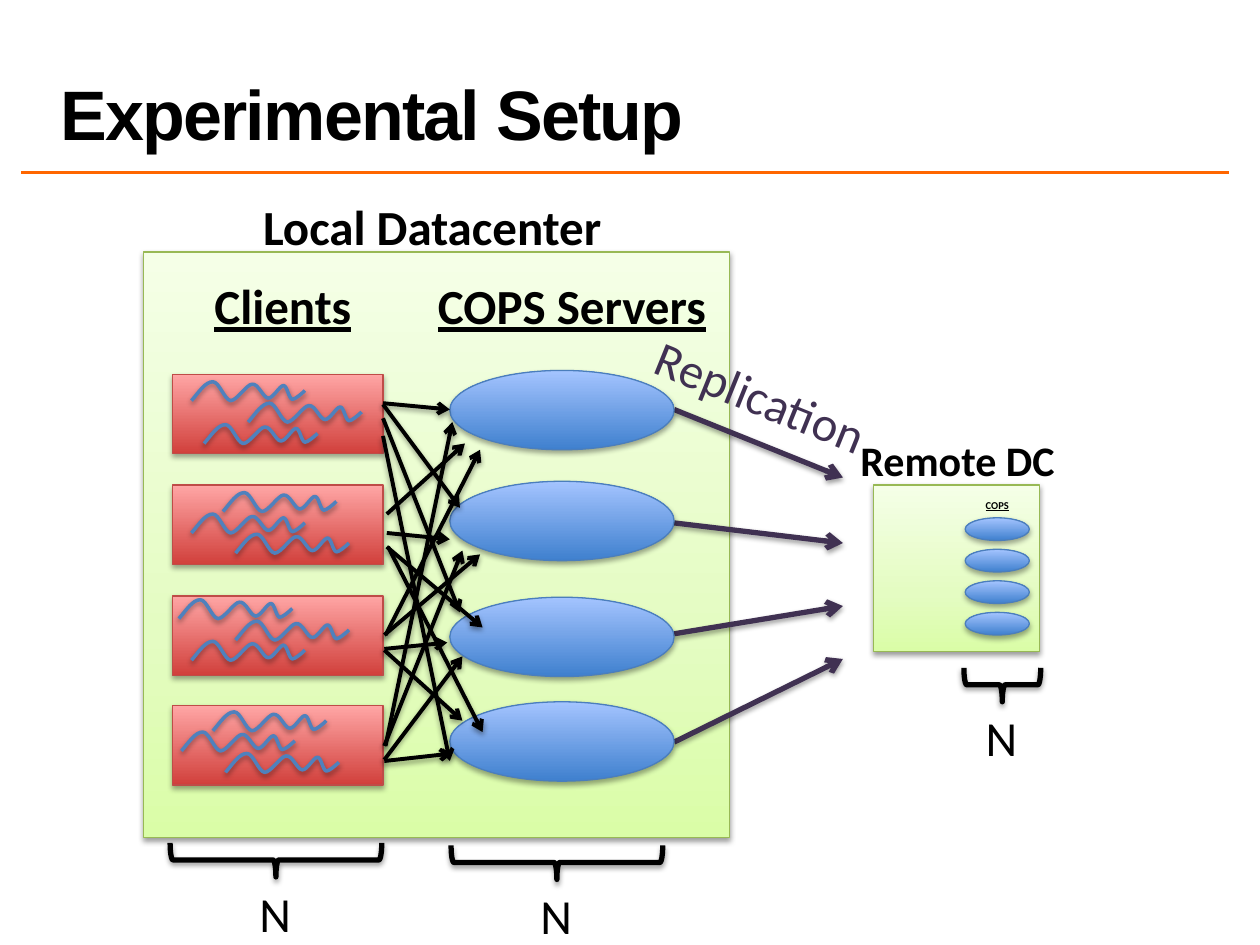
from copy import deepcopy

from lxml import etree
from pptx import Presentation
from pptx.dml.color import RGBColor
from pptx.enum.shapes import MSO_CONNECTOR, MSO_SHAPE
from pptx.enum.text import MSO_ANCHOR, PP_ALIGN
from pptx.oxml.ns import qn
from pptx.util import Inches, Pt

RECT, OVAL, BRACE = MSO_SHAPE.RECTANGLE, MSO_SHAPE.OVAL, MSO_SHAPE.LEFT_BRACE
STRAIGHT = MSO_CONNECTOR.STRAIGHT
LEFT, CENTER = PP_ALIGN.LEFT, PP_ALIGN.CENTER
TOP, BOTTOM = MSO_ANCHOR.TOP, MSO_ANCHOR.BOTTOM

THEME = {
    "ink": "000000", "rule": "FF6600", "replication": "403152", "thread": "4F81BD",
    "site": {"stops": [(0, "DAFDA7"), (0.35, "E4FCC2"), (1, "F5FFE7")],
             "edge": "98B955", "shadow": (38, 1.6)},
    "server": {"stops": [(0, "3F80CE"), (1, "A4C4FF")], "edge": "4B7EBC", "shadow": (35, 1.8)},
    "client": {"stops": [(0, "D1403C"), (1, "FFA6A5")], "edge": "BF4C48", "shadow": (35, 1.8)},
    "line_shadow": (38, 1.6),
    "title_font": "Arial", "body_font": "Calibri",
    "title": 40, "label": 28, "remote": 24, "tiny": 6,
}

# Content: text, box, format
TITLE = ("Experimental Setup", (0.38, 0.02, 9, 1.25))
LABELS = [
    ("COPS", (7.56, 3.91, 0.71, 0.16), {"size": THEME["tiny"], "bold": True, "underline": True}),
    ("Remote DC", (6.35, 3.4, 2.5, 0.57), {"size": THEME["remote"], "bold": True}),
    ("COPS Servers", (3.29, 2.14, 2.5, 0.57), {"bold": True, "underline": True}),
    ("Clients", (1.3, 2.14, 1.89, 0.57), {"bold": True, "underline": True}),
    ("Local Datacenter", (1.96, 1.51, 2.94, 0.57), {"bold": True, "wrap": False}),
]
REPLICATION = ("Replication", (4.79, 2.86, 2.5, 0.57), 22.1)
SITES = [(1.14, 2, 4.65), (6.93, 3.85, 1.32)]                # left, top, side
CLIENT_TOPS, CLIENT_SIZE = [2.97, 3.85, 4.73, 5.6], (1.67, 0.63)
SERVER_TOPS, SERVER_SIZE = [2.94, 3.82, 4.74, 5.57], (1.78, 0.63)
REMOTE_TOP, REMOTE_PITCH, REMOTE_SIZE = 4.11, 0.25, (0.51, 0.18)
THREAD_STARTS = [                                           # per client
    [(1.52, 3.18), (1.97, 3.35), (1.62, 3.52)],
    [(1.77, 4.06), (1.52, 4.23), (1.87, 4.39)],
    [(1.42, 4.91), (1.87, 5.08), (1.52, 5.24)],
    [(1.69, 5.80), (1.44, 5.96), (1.79, 6.13)],
]
THREAD_CURVES = [                                           # offsets from the start
    (0.06, -0.07), (0.11, -0.15), (0.17, -0.15),
    (0.22, -0.15), (0.26, -0.01), (0.31, 0),
    (0.36, 0), (0.44, -0.13), (0.48, -0.13),
    (0.53, -0.14), (0.57, -0.02), (0.61, -0.02),
    (0.65, -0.02), (0.70, -0.12), (0.73, -0.12),
    (0.76, -0.12), (0.77, -0.02), (0.80, -0.01),
    (0.82, -0.01), (0.87, -0.05), (0.90, -0.08),
]
REQUESTS = [                                                # per client: from x, y to x, y
    [(3.04, 3.46, 3.57, 6.04), (3.04, 3.2, 3.57, 3.25),
     (3.04, 3.21, 3.65, 4.03), (3.04, 3.32, 3.65, 4.86)],
    [(3.06, 5.92, 3.59, 3.35), (3.05, 6.04, 3.59, 5.98),
     (3.05, 6.03, 3.67, 5.21), (3.05, 5.92, 3.67, 4.37)],
    [(3.08, 4.34, 3.83, 5.81), (3.07, 4.08, 3.69, 3.52),
     (3.07, 4.23, 3.57, 4.28), (3.07, 4.34, 3.83, 4.98)],
    [(3.06, 5.04, 3.81, 3.57), (3.05, 5.16, 3.67, 5.72),
     (3.05, 5.15, 3.55, 5.1), (3.05, 5.04, 3.81, 4.4)],
]
REPLICAS = [(3.25, 3.79), (4.15, 4.31), (5.03, 4.81), (5.89, 5.23)]  # start y, end y
COUNTS = [("N", 1.35, 6.69, 1.68), ("N", 3.58, 6.71, 1.68), ("N", 7.65, 5.3, 0.61)]
BRACE_DEPTH = 0.27

prs = Presentation()
prs.slide_width, prs.slide_height = Inches(10), Inches(7.5)
slide = prs.slides.add_slide(prs.slide_layouts[6])
shapes = slide.shapes


def inches(values):
    return [Inches(v) for v in values]


def add_effects(part, shadow=None):
    effects = etree.SubElement(part._element.spPr, qn("a:effectLst"))
    if shadow:
        alpha, distance = shadow
        outer = etree.SubElement(effects, qn("a:outerShdw"), blurRad=str(Pt(3.1)),
                                 dist=str(Pt(distance)), dir="5400000", rotWithShape="0")
        color = etree.SubElement(outer, qn("a:srgbClr"), val="000000")
        etree.SubElement(color, qn("a:alpha"), val=str(alpha * 1000))


def set_line(part, color, width):
    part.line.color.rgb = RGBColor.from_string(color)
    part.line.width = Pt(width)


def add_label(text, box, align=CENTER, anchor=TOP, color="ink", wrap=True, spacing=None,
              tracking=None, rotation=0, **font):
    label = shapes.add_textbox(*inches(box))
    label.rotation = rotation
    frame = label.text_frame
    frame.word_wrap, frame.vertical_anchor = wrap, anchor
    paragraph = frame.paragraphs[0]
    paragraph.alignment, paragraph.line_spacing = align, spacing
    run = paragraph.add_run()
    run.text = text
    run.font.color.rgb = RGBColor.from_string(THEME[color])
    style = {"name": THEME["body_font"], "size": THEME["label"], **font}
    style["size"] = Pt(style["size"])
    for key, value in style.items():
        setattr(run.font, key, value)
    if tracking is not None:
        run._r.get_or_add_rPr().set("spc", str(tracking))


def add_block(kind, box, look):
    block = shapes.add_shape(kind, *inches(box))
    block.fill.gradient()
    block.fill.gradient_angle = 90
    stop_list = block._element.spPr.find(".//" + qn("a:gsLst"))
    for _ in look["stops"][2:]:
        stop_list.append(deepcopy(stop_list[0]))
    for stop, (position, color) in zip(block.fill.gradient_stops, look["stops"]):
        stop.position, stop.color.rgb = position, RGBColor.from_string(color)
    set_line(block, look["edge"], 0.75)
    add_effects(block, look["shadow"])


def add_line(ends, color, width, arrow=True):
    line = shapes.add_connector(STRAIGHT, *inches(ends))
    set_line(line, THEME[color], width)
    if arrow:
        etree.SubElement(line.line._get_or_add_ln(), qn("a:tailEnd"), type="arrow")
    add_effects(line, THEME["line_shadow"] if arrow else None)


def add_thread(x, y):
    builder = shapes.build_freeform(Inches(x), Inches(y))
    builder.add_line_segments([inches((x + dx, y + dy)) for dx, dy in THREAD_CURVES], close=False)
    thread = builder.convert_to_shape()
    # Each three points become one cubic curve
    segments = list(thread._element.spPr.iter(qn("a:lnTo")))
    for first in range(0, len(segments), 3):
        curve = etree.Element(qn("a:cubicBezTo"))
        segments[first].addprevious(curve)
        for segment in segments[first:first + 3]:
            curve.append(segment[0])
            segment.getparent().remove(segment)
    thread.fill.background()
    set_line(thread, THEME["thread"], 2)
    add_effects(thread, THEME["line_shadow"])


# Title, its rule and the datacenters
add_line((0.17, 1.37, 9.75, 1.37), "rule", 2, arrow=False)
add_label(*TITLE, align=LEFT, anchor=BOTTOM, spacing=0.8, tracking=-100,
          name=THEME["title_font"], size=THEME["title"], bold=True)
for left, top, side in SITES:
    add_block(RECT, (left, top, side, side), THEME["site"])

# Remote servers, then replication arrows
for row in range(len(REPLICAS)):
    add_block(OVAL, (7.66, REMOTE_TOP + row * REMOTE_PITCH, *REMOTE_SIZE), THEME["server"])
for start_y, end_y in REPLICAS:
    add_line((5.35, start_y, 6.69, end_y), "replication", 3)

# Local servers, clients and their threads
for top in SERVER_TOPS:
    add_block(OVAL, (3.57, top, *SERVER_SIZE), THEME["server"])
for top, starts in zip(CLIENT_TOPS, THREAD_STARTS):
    add_block(RECT, (1.37, top, *CLIENT_SIZE), THEME["client"])
    for start in starts:
        add_thread(*start)

# Requests from every client to every server
for client_requests in REQUESTS:
    for ends in client_requests:
        add_line(ends, "ink", 2.25)

# Labels
for text, box, style in LABELS:
    add_label(text, box, **style)

# Braces with counts
for text, left, top, span in COUNTS:
    middle = left + span / 2
    brace = shapes.add_shape(BRACE, *inches((middle - BRACE_DEPTH / 2,
                                             top + (BRACE_DEPTH - span) / 2, BRACE_DEPTH, span)))
    brace.rotation = 270
    brace.fill.background()
    set_line(brace, THEME["ink"], 3)
    add_effects(brace, THEME["line_shadow"])
    add_label(text, (middle - 0.23, top + BRACE_DEPTH, 0.46, 0.57), align=LEFT, wrap=False)

replication_text, replication_box, tilt = REPLICATION
add_label(replication_text, replication_box, color="replication", rotation=tilt)

prs.save("out.pptx")
